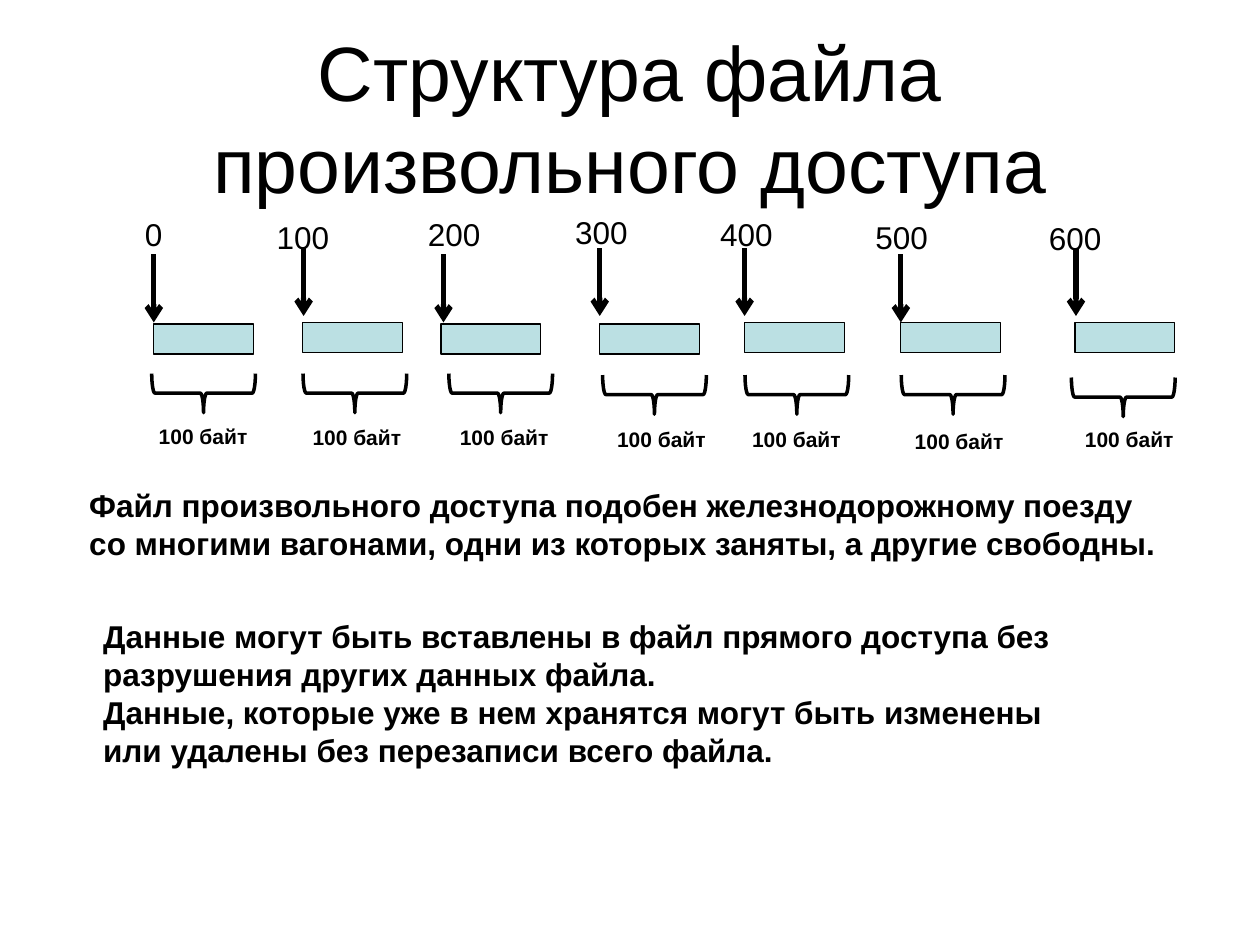
from lxml import etree
from pptx import Presentation
from pptx import util as u
from pptx.dml.color import RGBColor
from pptx.enum import shapes, text
from pptx.oxml import ns

COLORS = {"ink": "000000", "record": "BBE0E3"}
INK = RGBColor.from_string(COLORS["ink"])


def format_text(frame, lines, size, bold=False, align=text.PP_ALIGN.CENTER):
    frame.text = "\n".join(lines)
    for paragraph in frame.paragraphs:
        paragraph.alignment = align
        paragraph.font.name = "Arial"
        paragraph.font.size = u.Pt(size)
        paragraph.font.bold = bold
        paragraph.font.color.rgb = INK


def add_label(left, top, width, height, lines, size, **style):
    box = slide.shapes.add_textbox(u.Cm(left), u.Cm(top), u.Cm(width), u.Cm(height))
    format_text(box.text_frame, lines, size, **style)
    box.text_frame.word_wrap = False
    box.text_frame.auto_size = text.MSO_AUTO_SIZE.SHAPE_TO_FIT_TEXT


presentation = Presentation()
presentation.slide_width = u.Cm(25.4)
presentation.slide_height = u.Cm(19.05)
slide = presentation.slides.add_slide(presentation.slide_layouts[5])

title = slide.shapes.title
title.left, title.top, title.width, title.height = u.Cm(1.27), u.Cm(0.76), u.Cm(22.86), u.Cm(3.18)
format_text(title.text_frame, ["Структура файла произвольного доступа"], 44)
title.text_frame.vertical_anchor = text.MSO_ANCHOR.MIDDLE
title.text_frame.auto_size = text.MSO_AUTO_SIZE.NONE

records = [(3.1, 6.53), (6.1, 6.5), (8.89, 6.53), (12.09, 6.53), (15.01, 6.5), (18.16, 6.5), (21.67, 6.5)]
arrows = [(3.1, 5.13), (6.12, 5), (8.94, 5.13), (12.09, 5), (15.01, 5), (18.16, 5.13), (21.69, 5)]
offsets = [(2.27, 4.22), (5.28, 4.27), (8.33, 4.22), (11.3, 4.17), (14.22, 4.22), (17.35, 4.27), (20.85, 4.29)]
braces = [(3.71, 6.88), (6.76, 6.88), (9.7, 6.88), (12.8, 6.91), (15.67, 6.91), (18.82, 6.91), (22.25, 6.96)]
sizes = [(2.95, 8.41), (6.05, 8.43), (9.02, 8.43), (12.19, 8.48), (14.91, 8.48), (18.19, 8.51), (21.62, 8.48)]

for left, top in records:
    record = slide.shapes.add_shape(shapes.MSO_SHAPE.RECTANGLE, u.Cm(left), u.Cm(top), u.Cm(2.01), u.Cm(0.61))
    record.shadow.inherit = False
    record.fill.solid()
    record.fill.fore_color.rgb = RGBColor.from_string(COLORS["record"])
    record.line.color.rgb = INK
    record.line.width = u.Pt(0.75)

for left, top in arrows:
    arrow = slide.shapes.add_connector(
        shapes.MSO_CONNECTOR.STRAIGHT, u.Cm(left), u.Cm(top), u.Cm(left), u.Cm(top + 1.37))
    arrow.line.color.rgb = INK
    arrow.line.width = u.Pt(3)
    etree.SubElement(arrow.line._get_or_add_ln(), ns.qn("a:tailEnd"), type="arrow")
    etree.SubElement(arrow._element.spPr, ns.qn("a:effectLst"))

for number, (left, top) in enumerate(offsets):
    add_label(left, top, 1.65, 1.02, [str(number * 100)], 18)

for left, top in braces:
    brace = slide.shapes.add_shape(shapes.MSO_SHAPE.LEFT_BRACE, u.Cm(left), u.Cm(top), u.Cm(0.79), u.Cm(2.09))
    brace.rotation = 270
    brace.shadow.inherit = False
    brace.fill.background()
    brace.line.color.rgb = INK
    brace.line.width = u.Pt(2)

for left, top in sizes:
    add_label(left, top, 2.29, 0.76, ["100 байт"], 12, bold=True)

add_label(1.55, 9.68, 22.1, 1.78, [
    "Файл произвольного доступа подобен железнодорожному поезду",
    "со многими вагонами, одни из которых заняты, а другие свободны.",
], 18, bold=True, align=text.PP_ALIGN.LEFT)
add_label(1.83, 12.32, 19.81, 3.3, [
    "Данные могут быть вставлены в файл прямого доступа без",
    "разрушения других данных файла.",
    "Данные, которые уже в нем хранятся могут быть изменены",
    "или удалены без перезаписи всего файла.",
], 18, bold=True, align=text.PP_ALIGN.LEFT)

presentation.save("out.pptx")
